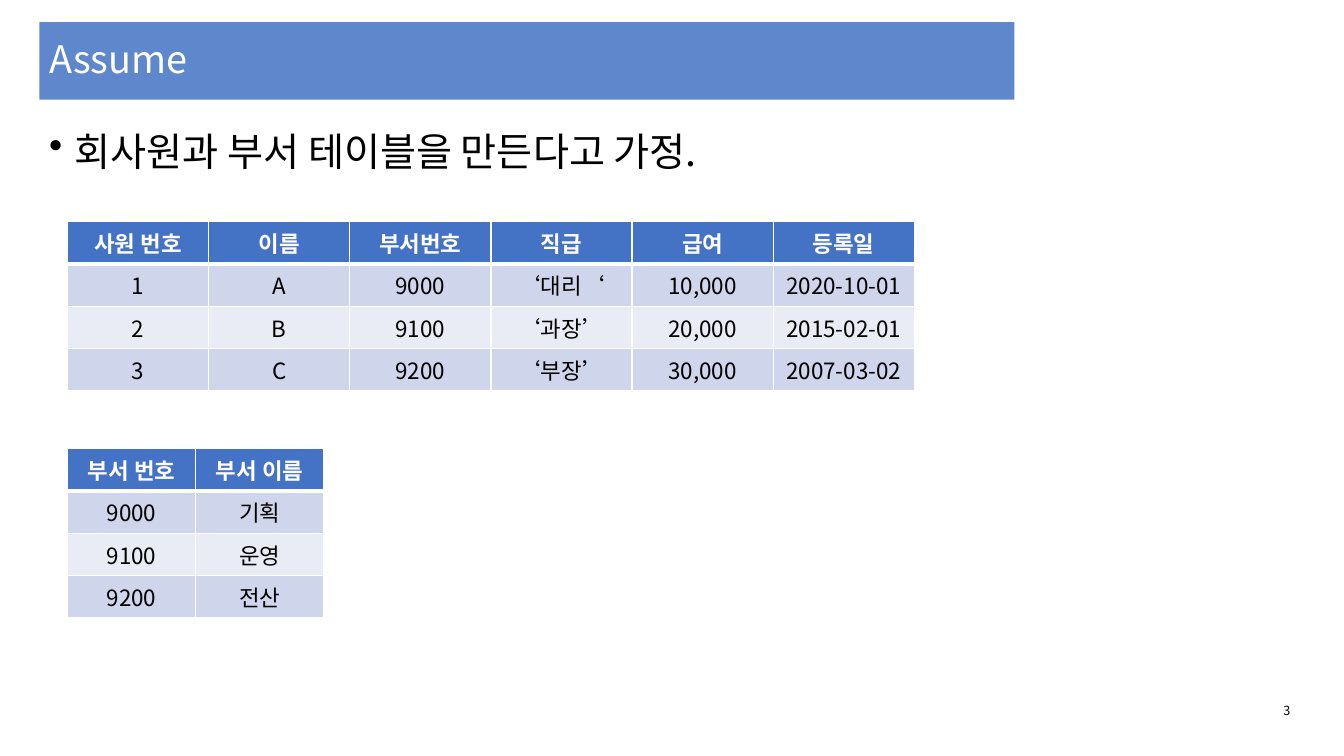
from pptx import Presentation
from pptx.dml.color import RGBColor
from pptx.enum.shapes import MSO_SHAPE
from pptx.enum.text import MSO_ANCHOR, PP_ALIGN
from pptx.oxml.ns import qn
from pptx.util import Inches, Pt
from lxml import etree

RECT = MSO_SHAPE.RECTANGLE
TOP, MIDDLE = MSO_ANCHOR.TOP, MSO_ANCHOR.MIDDLE
LEFT, CENTER = PP_ALIGN.LEFT, PP_ALIGN.CENTER

# Content
TITLE = "Assume"
BULLET = "회사원과 부서 테이블을 만든다고 가정."
PAGE = "3"
EMPLOYEES = [
    ("사원 번호", "이름", "부서번호", "직급", "급여", "등록일"),
    ("1", "A", "9000", "‘대리‘", "10,000", "2020-10-01"),
    ("2", "B", "9100", "‘과장’", "20,000", "2015-02-01"),
    ("3", "C", "9200", "‘부장’", "30,000", "2007-03-02"),
]
DEPARTMENTS = [
    ("부서 번호", "부서 이름"),
    ("9000", "기획"),
    ("9100", "운영"),
    ("9200", "전산"),
]
# rows, top, column width
TABLES = [(EMPLOYEES, 2.2, 1.4), (DEPARTMENTS, 4.45, 1.27)]
TABLE_LEFT, ROW_HEIGHT = 0.67, 0.42
MARGIN = 0.39

THEME = {
    "font": "Noto Sans CJK KR",
    "accent": "4472C4", "bands": ("CFD5EA", "E9EBF5"),
    "white": "FFFFFF", "black": "000000",
    "title": 27, "body": 28, "cell": 16, "page": 9,
}


def color(name):
    return RGBColor.from_string(THEME[name])


def write(tf, text, size, ink, align=LEFT, bold=False):
    p = tf.paragraphs[0]
    p.text, p.alignment = text, align
    font = p.font
    font.name, font.size, font.bold = THEME["font"], Pt(THEME[size]), bold
    font.color.rgb = color(ink)
    props = p._p.pPr.find(qn("a:defRPr"))
    etree.SubElement(props, qn("a:ea"), typeface=THEME["font"])
    return p


def add_text(s, box, text, size, anchor=TOP, wrap=True):
    tf = s.shapes.add_textbox(*map(Inches, box)).text_frame
    tf.word_wrap, tf.vertical_anchor = wrap, anchor
    return write(tf, text, size, "black")


def set_borders(cell, header):
    tc_pr = cell._tc.get_or_add_tcPr()
    for side in ("lnL", "lnR", "lnT", "lnB"):
        width = Pt(3 if header and side == "lnB" else 1)
        line = etree.SubElement(tc_pr, qn("a:" + side), w=str(width))
        fill = etree.SubElement(line, qn("a:solidFill"))
        etree.SubElement(fill, qn("a:srgbClr"), val=THEME["white"])


def add_table(s, rows, top, col_width):
    cols = len(rows[0])
    table = s.shapes.add_table(
        len(rows), cols, Inches(TABLE_LEFT), Inches(top),
        Inches(col_width * cols), Inches(ROW_HEIGHT * len(rows))).table
    for i, row in enumerate(rows):
        header = i == 0
        fill = THEME["accent"] if header else THEME["bands"][(i - 1) % 2]
        for j, text in enumerate(row):
            cell = table.cell(i, j)
            set_borders(cell, header)
            cell.fill.solid()
            cell.fill.fore_color.rgb = RGBColor.from_string(fill)
            write(cell.text_frame, text, "cell",
                  "white" if header else "black", CENTER, header)


def main():
    prs = Presentation()
    prs.slide_width, prs.slide_height = Inches(13.33), Inches(7.5)
    s = prs.slides.add_slide(prs.slide_layouts[6])

    # Title bar
    bar = s.shapes.add_shape(RECT, *map(Inches, (MARGIN, 0.22, 9.67, 0.77)))
    bar.shadow.inherit = False
    bar.fill.solid()
    bar.fill.fore_color.rgb = color("accent")
    bar.line.fill.background()
    clr = bar._element.spPr.find(qn("a:solidFill"))[0]
    etree.SubElement(clr, qn("a:alpha"), val="85000")
    bar.text_frame.vertical_anchor = MIDDLE
    p = write(bar.text_frame, TITLE, "title", "white")
    p.line_spacing = 0.9

    # Bullet
    p = add_text(s, (MARGIN, 1.21, 12.4, 5.49), BULLET, "body")
    p_pr = p._p.pPr
    p_pr.set("marL", str(Inches(0.25)))
    p_pr.set("indent", str(-Inches(0.25)))
    bullet = etree.Element(qn("a:buChar"), char="•")
    p_pr.find(qn("a:defRPr")).addprevious(bullet)

    # Tables
    for rows, top, col_width in TABLES:
        add_table(s, rows, top, col_width)

    # Page number
    add_text(s, (12.63, 6.92, 0.36, 0.25), PAGE, "page", wrap=False)

    prs.save("out.pptx")


if __name__ == "__main__":
    main()
